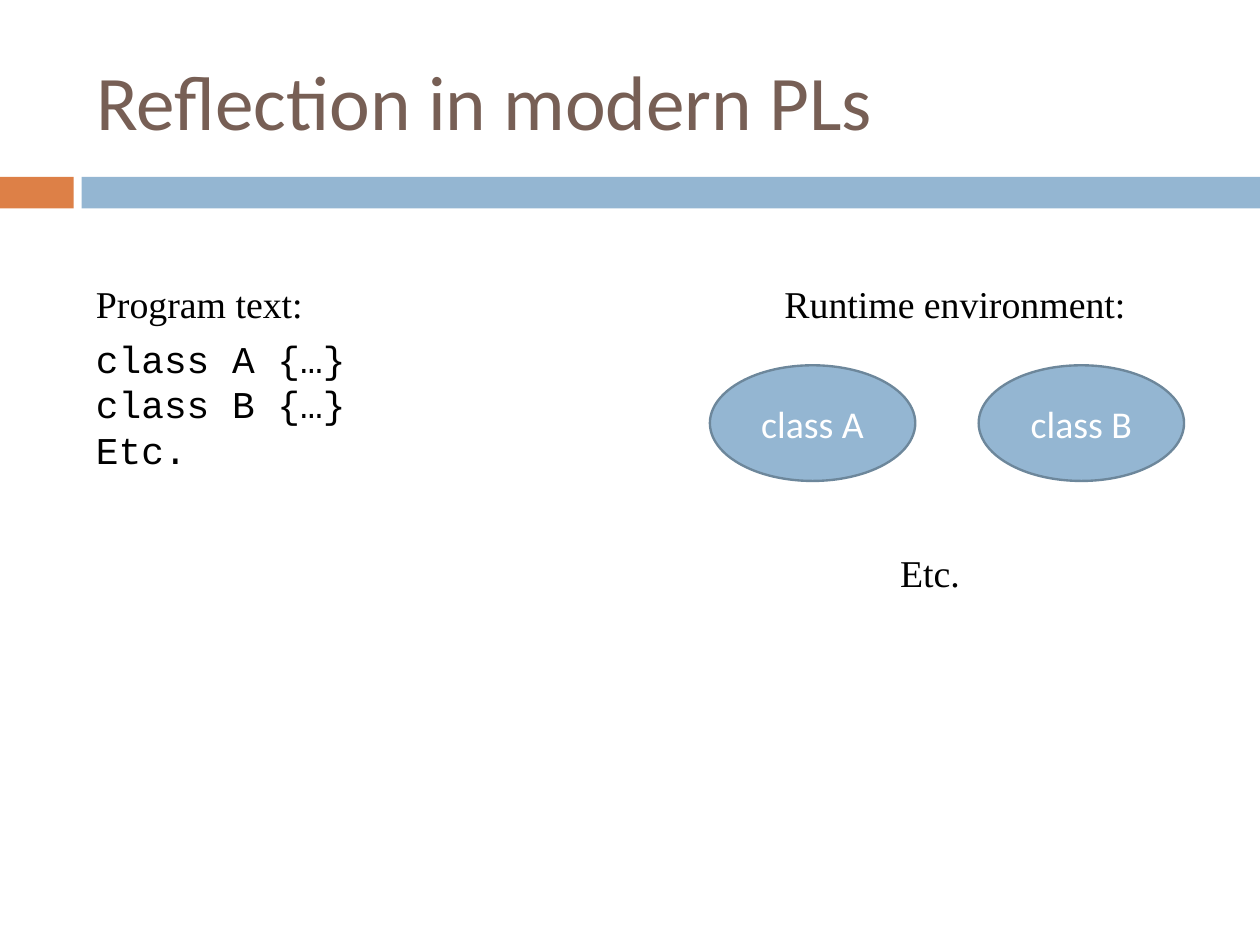
"""Build a slide that sets program text beside its runtime environment."""
from collections import namedtuple

from pptx import Presentation
from pptx.dml.color import RGBColor
from pptx.enum.shapes import MSO_SHAPE
from pptx.enum.text import MSO_ANCHOR, PP_ALIGN
from pptx.util import Cm, Pt

RECTANGLE, OVAL = MSO_SHAPE.RECTANGLE, MSO_SHAPE.OVAL
TOP, MIDDLE = MSO_ANCHOR.TOP, MSO_ANCHOR.MIDDLE
LEFT, CENTER = PP_ALIGN.LEFT, PP_ALIGN.CENTER

ORANGE = RGBColor(0xDD, 0x80, 0x47)
BLUE = RGBColor(0x94, 0xB6, 0xD2)
SLATE = RGBColor(0x6D, 0x87, 0x9B)
BROWN = RGBColor(0x77, 0x5F, 0x55)
BLACK = RGBColor(0, 0, 0)
WHITE = RGBColor(0xFF, 0xFF, 0xFF)

TITLE = {"name": "Calibri", "size": Pt(49), "color": BROWN}
LABEL = {"name": "Times New Roman", "size": Pt(24), "color": BLACK}
CODE = {**LABEL, "name": "Courier New"}
NODE = {**LABEL, "name": "Calibri", "color": WHITE}

Box = namedtuple("Box", "left top width height")
PAGE = Box(0, 0, 28.22, 21.16)
HEADER = Box(0, 0, PAGE.width, 4.67)
PROGRAM = Box(1.9, 6.17, 6.15, 4.55)
RUNTIME = Box(15.9, 6.17, 10.62, 7.29)
LINE_HEIGHT = 1.27


def lengths(box):
    """Return the sides of a box as lengths."""
    return [Cm(side) for side in box]


def write(frame, lines, font, align=LEFT, anchor=TOP):
    """Write each line as a paragraph in the given font."""
    frame.vertical_anchor = anchor
    for number, line in enumerate(lines):
        para = frame.add_paragraph() if number else frame.paragraphs[0]
        para.alignment = align
        span = para.add_run()
        span.text = line
        for key, value in font.items():
            if key == "color":
                span.font.color.rgb = value
            else:
                setattr(span.font, key, value)


def add_text(page, box, lines, font, wrap=False, anchor=TOP):
    """Add a text box and return its frame."""
    frame = page.shapes.add_textbox(*lengths(box)).text_frame
    frame.word_wrap = wrap
    write(frame, lines, font, anchor=anchor)
    return frame


def add_filled(page, kind, box, color):
    """Add a flat shape without an outline."""
    shape = page.shapes.add_shape(kind, *lengths(box))
    shape.shadow.inherit = False
    shape.fill.solid()
    shape.fill.fore_color.rgb = color
    shape.line.fill.background()
    return shape


def add_header(page, box, title):
    """Place the title above a two-coloured band at the foot of the box."""
    band_height, accent_width, gap = 0.71, 1.65, 0.18
    band_top = box.top + box.height - band_height
    band_left = box.left + accent_width + gap
    add_filled(page, RECTANGLE, Box(box.left, band_top, accent_width, band_height), ORANGE)
    add_filled(page, RECTANGLE,
               Box(band_left, band_top, box.width - accent_width - gap, band_height), BLUE)
    title_box = Box(box.left + 1.88, box.top + 0.71, 25.17, 3.05)
    frame = add_text(page, title_box, [title], TITLE, wrap=True, anchor=MIDDLE)
    frame.margin_left = frame.margin_right = Cm(0.28)
    frame.margin_top = frame.margin_bottom = Cm(0.15)


def add_program(page, box, label, code):
    """Place a label above lines of code."""
    code_top = 1.22
    add_text(page, Box(box.left, box.top, 5.18, LINE_HEIGHT), [label], LABEL)
    add_text(page, Box(box.left, box.top + code_top, box.width, box.height - code_top),
             code, CODE)


def add_runtime(page, box, label, classes, ending):
    """Place a label, a row of class ovals and a closing word."""
    width, height = 4.6, 2.59
    pitch = (box.width - width) / (len(classes) - 1)
    add_text(page, Box(box.left + 1.42, box.top, 8.2, LINE_HEIGHT), [label], LABEL)
    for column, name in enumerate(classes):
        oval = add_filled(page, OVAL,
                          Box(box.left + column * pitch, box.top + 2.01, width, height), BLUE)
        oval.line.color.rgb = SLATE
        oval.line.width = Pt(1.5)
        write(oval.text_frame, [name], NODE, CENTER, MIDDLE)
    ending_top = box.top + box.height - LINE_HEIGHT
    add_text(page, Box(box.left + 4.01, ending_top, 1.85, LINE_HEIGHT), [ending], LABEL)


def main():
    """Build and save the deck."""
    deck = Presentation()
    deck.slide_width, deck.slide_height = Cm(PAGE.width), Cm(PAGE.height)
    page = deck.slides.add_slide(deck.slide_layouts[6])
    add_header(page, HEADER, "Reflection in modern PLs")
    add_program(page, PROGRAM, "Program text:", ["class A {…}", "class B {…}", "Etc."])
    add_runtime(page, RUNTIME, "Runtime environment:", ["class A", "class B"], "Etc.")
    deck.save("out.pptx")


if __name__ == "__main__":
    main()
